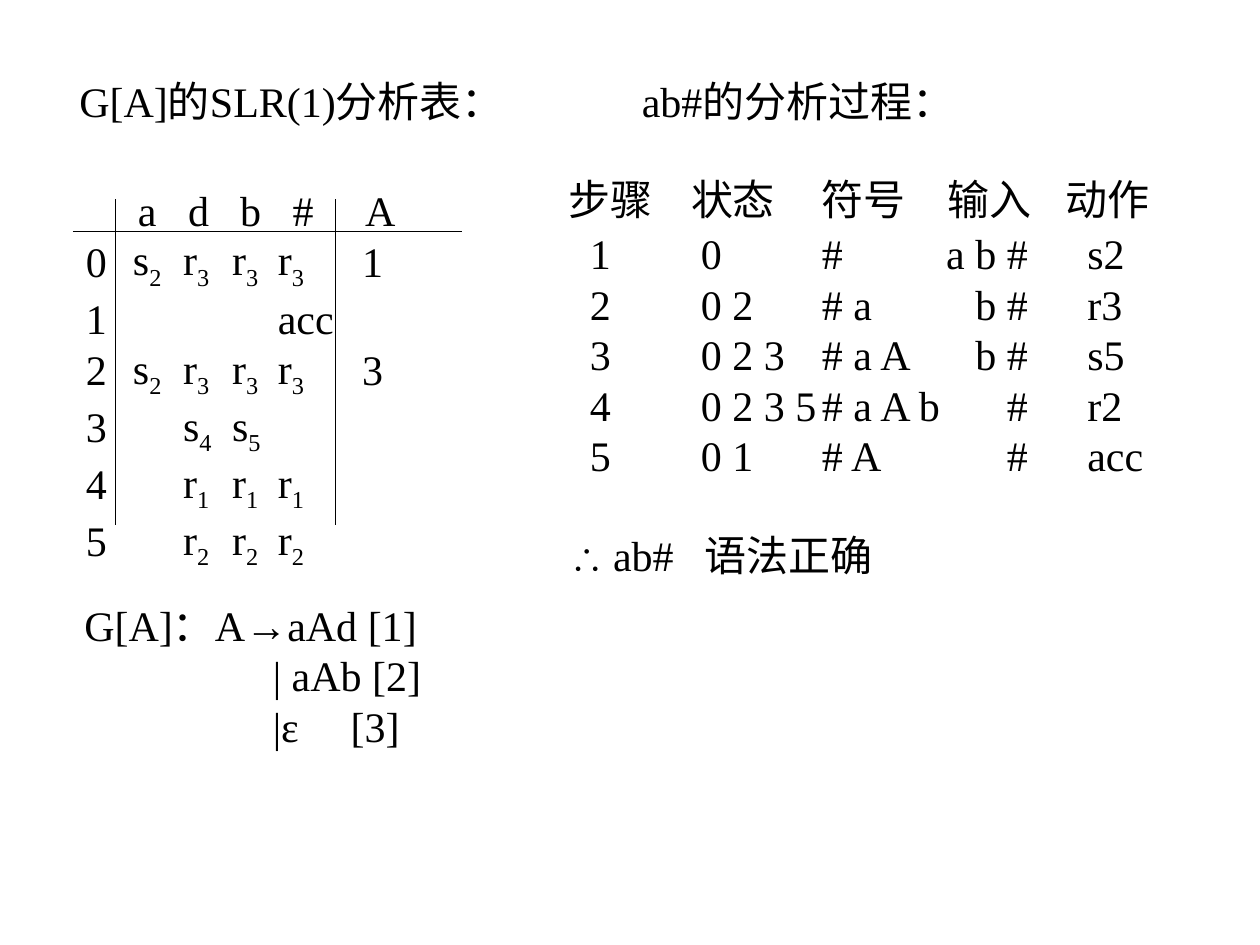
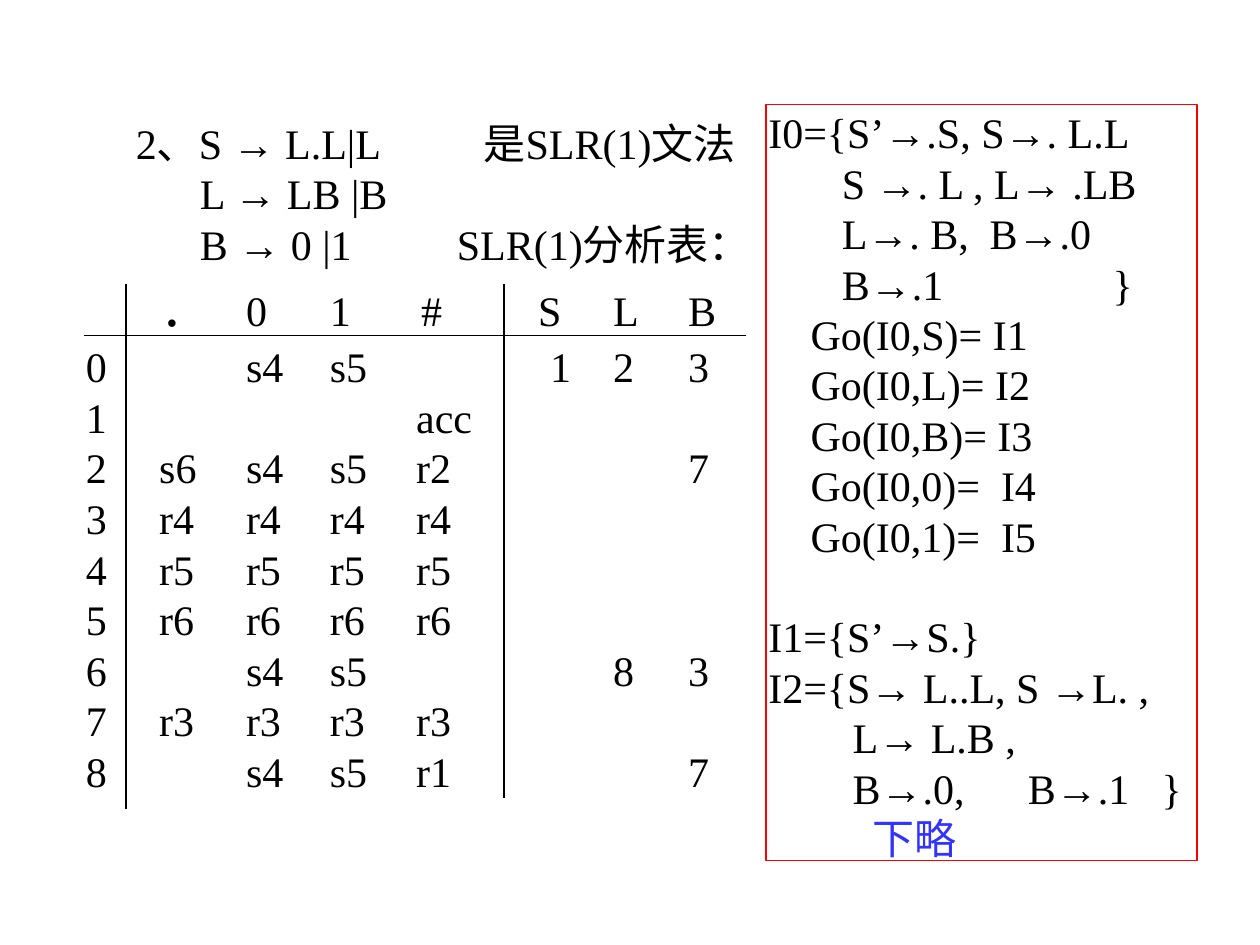
import dataclasses

import lxml.etree
import pptx
import pptx.dml.color
import pptx.enum.shapes
import pptx.enum.text
import pptx.oxml.ns
import pptx.util

Cm = pptx.util.Cm
Pt = pptx.util.Pt
LEFT = pptx.enum.text.PP_ALIGN.LEFT
RIGHT = pptx.enum.text.PP_ALIGN.RIGHT


@dataclasses.dataclass(frozen=True)
class Theme:
    """Colours, type sizes and measures shared by the slides."""

    font: str = "Times New Roman"
    ink: str = "000000"
    frame: str = "FF0000"
    remark: str = "3333FF"
    body: float = 24
    symbol: float = 20
    dot: float = 36
    line_pitch: float = 28.8
    tall_pitch: float = 31.5
    line_width: float = 0.75
    row: float = 1.02
    subscript_row: float = 1.15
    no_grid_style: str = "{2D5ABB26-0587-4C30-8999-92F81FD0307C}"


THEME = Theme()


@dataclasses.dataclass(frozen=True)
class Box:
    """A region in centimetres."""

    left: float
    top: float
    width: float
    height: float


@dataclasses.dataclass(frozen=True)
class Line:
    """A line of text with its tab stops in centimetres."""

    text: str
    stops: tuple = ()
    color: str = THEME.ink
    space_before: float = 0


@dataclasses.dataclass(frozen=True)
class Column:
    """A table column; indents apply on the aligned side."""

    width: float
    header_indent: float = 0
    body_indent: float = 0
    align: int = LEFT
    header_size: float = THEME.body


def rgb(color):
    """Turn a hex string into a colour."""
    return pptx.dml.color.RGBColor.from_string(color)


def add_run(paragraph, text, size=THEME.body, color=THEME.ink, subscript=False):
    """Append one formatted run."""
    run = paragraph.add_run()
    run.text = text
    run.font.name = THEME.font
    run.font.size = Pt(size)
    run.font.color.rgb = rgb(color)
    if subscript:
        run.font._element.set("baseline", "-25000")


def write(paragraph, text, size=THEME.body, color=THEME.ink, align=LEFT,
          stops=(), space_before=0):
    """Fill a paragraph; an underscore starts a subscript."""
    is_tall = "_" in text or size > THEME.body
    paragraph.alignment = align
    paragraph.line_spacing = Pt(
        THEME.tall_pitch if is_tall else THEME.line_pitch)
    paragraph.space_before = Pt(space_before)
    if stops:
        qn = pptx.oxml.ns.qn
        tab_list = lxml.etree.SubElement(
            paragraph._p.get_or_add_pPr(), qn("a:tabLst"))
        for stop in stops:
            lxml.etree.SubElement(
                tab_list, qn("a:tab"), pos=str(Cm(stop)), algn="l")
    for index, part in enumerate(text.split("_")):
        if part:
            add_run(paragraph, part, size, color, subscript=index > 0)


def add_text(slide, box, lines):
    """Place a text box holding one paragraph per line."""
    shape = slide.shapes.add_textbox(
        Cm(box.left), Cm(box.top), Cm(box.width), Cm(box.height))
    frame = shape.text_frame
    frame.word_wrap = True
    for index, line in enumerate(lines):
        paragraph = frame.add_paragraph() if index else frame.paragraphs[0]
        write(paragraph, line.text, stops=line.stops, color=line.color,
              space_before=line.space_before)
    return frame


def add_rule(slide, box, start, end):
    """Draw a thin line between two points given from the corner of a box."""
    connector = slide.shapes.add_connector(
        pptx.enum.shapes.MSO_CONNECTOR.STRAIGHT,
        Cm(box.left + start[0]), Cm(box.top + start[1]),
        Cm(box.left + end[0]), Cm(box.top + end[1]))
    connector.line.color.rgb = rgb(THEME.ink)
    connector.line.width = Pt(THEME.line_width)
    lxml.etree.SubElement(
        connector._element.spPr, pptx.oxml.ns.qn("a:effectLst"))


def add_grid(slide, left, top, columns, rows, heights, rules=()):
    """Place a table without borders, then the rules over it."""
    box = Box(left, top, sum(column.width for column in columns), sum(heights))
    table = slide.shapes.add_table(
        len(rows), len(columns), Cm(box.left), Cm(box.top),
        Cm(box.width), Cm(box.height)).table
    table.first_row = table.horz_banding = False
    style = table._tbl.tblPr.find(pptx.oxml.ns.qn("a:tableStyleId"))
    style.text = THEME.no_grid_style
    for index, column in enumerate(columns):
        table.columns[index].width = Cm(column.width)
    for row_index, (texts, height) in enumerate(zip(rows, heights)):
        table.rows[row_index].height = Cm(height)
        for column_index, (text, column) in enumerate(zip(texts, columns)):
            fill_cell(table.cell(row_index, column_index), text, column,
                      is_header=row_index == 0)
    for start, end in rules:
        add_rule(slide, box, start, end)


def fill_cell(cell, text, column, is_header):
    """Write one table cell in the manner of its column."""
    cell.fill.background()
    cell.margin_left = cell.margin_right = 0
    cell.margin_top = cell.margin_bottom = 0
    indent = Cm(column.header_indent if is_header else column.body_indent)
    if column.align == RIGHT:
        cell.margin_right = indent
    else:
        cell.margin_left = indent
    paragraph = cell.text_frame.paragraphs[0]
    size = column.header_size if is_header else THEME.body
    write(paragraph, text, size=size, align=column.align)
    if not text:
        paragraph.font.size = Pt(size)


def add_small_parse_table(slide, left, top):
    """Build the SLR(1) table of grammar G[A]."""
    columns = [Column(0.95), Column(1.01, 0.1), Column(0.99, 0.1),
               Column(0.92, 0.16), Column(1.7, 0.3), Column(1.6, 0.06)]
    rows = [
        ("", "a", "d", "b", "#", "A"),
        ("0", "s_2", "r_3", "r_3", "r_3", "1"),
        ("1", "", "", "", "acc", ""),
        ("2", "s_2", "r_3", "r_3", "r_3", "3"),
        ("3", "", "s_4", "s_5", "", ""),
        ("4", "", "r_1", "r_1", "r_1", ""),
        ("5", "", "r_2", "r_2", "r_2", ""),
    ]
    heights = [THEME.subscript_row if any("_" in text for text in row)
               else THEME.row for row in rows]
    rules = [((-0.26, 0.93), (7.59, 0.93))]
    rules += [((x, 0.29), (x, 6.85)) for x in (0.6, 5.04)]
    add_grid(slide, left, top, columns, rows, heights, rules)


def add_analysis_steps(slide, left, top):
    """Build the step by step analysis of the sentence."""
    columns = [Column(2.46, body_indent=0.42), Column(2.64, body_indent=0.2),
               Column(2.42), Column(2.48, 0.68, 0.75, RIGHT),
               Column(2.13, body_indent=0.45)]
    rows = [
        ("步骤", "状态", "符号", "输入", "动作"),
        ("1", "0", "#", "a b #", "s2"),
        ("2", "0 2", "# a", "b #", "r3"),
        ("3", "0 2 3", "# a A", "b #", "s5"),
        ("4", "0 2 3 5", "# a A b", "#", "r2"),
        ("5", "0 1", "# A", "#", "acc"),
    ]
    add_grid(slide, left, top, columns, rows, [THEME.row] * len(rows))


def add_large_parse_table(slide, left, top):
    """Build the SLR(1) table of the binary number grammar."""
    columns = [Column(1.48), Column(1.75, 0.1, header_size=THEME.dot),
               Column(1.69), Column(1.74), Column(2.46, 0.1),
               Column(1.51, body_indent=0.24), Column(1.51), Column(1.15)]
    rows = [("", ".", "0", "1", "#", "S", "L", "B")]
    actions = [
        ("", "s4", "s5", "", "1", "2", "3"),
        ("", "", "", "acc", "", "", ""),
        ("s6", "s4", "s5", "r2", "", "", "7"),
        ("r4",) * 4 + ("",) * 3,
        ("r5",) * 4 + ("",) * 3,
        ("r6",) * 4 + ("",) * 3,
        ("", "s4", "s5", "", "", "8", "3"),
        ("r3",) * 4 + ("",) * 3,
        ("", "s4", "s5", "r1", "", "", "7"),
    ]
    rows += [(str(state), *action) for state, action in enumerate(actions)]
    heights = [1.13] + [THEME.row] * len(actions)
    rules = [((-0.04, 1.02), (13.3, 1.02)),
             ((0.81, -0.03), (0.81, 10.55)),
             ((8.43, -0.03), (8.43, 10.33))]
    add_grid(slide, left, top, columns, rows, heights, rules)


def add_item_sets(slide, box):
    """Build the list of item sets inside its frame."""
    item, go = (1.48,), (0.85, 4.69)
    lines = [
        Line("I0={S’→.S, S→. L.L"),
        Line("\tS →. L , L→ .LB", item),
        Line("\tL→. B,\tB→.0", item + (4.46,)),
        Line("\tB→.1\t}", item + (6.94,)),
    ]
    lines += [Line(f"\tGo(I0,{symbol})= I{number}", go)
              for number, symbol in enumerate("SLB", 1)]
    lines += [Line(f"\tGo(I0,{symbol})=\tI{number}", go)
              for number, symbol in enumerate("01", 4)]
    lines += [
        Line("I1={S’→S.}", space_before=THEME.line_pitch),
        Line("I2={S→ L..L, S →L. ,"),
        Line("\tL→ L.B ,", (1.7,)),
        Line("\tB→.0,\tB→.1\t}", (1.7, 5.23, 7.93)),
        Line("\t下略", (2.1,), THEME.remark),
    ]
    add_text(slide, box, lines)
    frame = slide.shapes.add_shape(
        pptx.enum.shapes.MSO_SHAPE.RECTANGLE, Cm(box.left + 0.2),
        Cm(box.top + 0.08), Cm(8.69), Cm(box.height - 0.25))
    frame.shadow.inherit = False
    frame.fill.background()
    frame.line.color.rgb = rgb(THEME.frame)
    frame.line.width = Pt(THEME.line_width)


def build_sentence_slide(slide):
    """Build the slide that analyses the sentence ab#."""
    add_small_parse_table(slide, 1.73, 3.73)
    add_text(slide, Box(1.35, 1.4, 9.68, 1.27), [Line("G[A]的SLR(1)分析表：")])
    add_text(slide, Box(1.45, 11.96, 8.08, 3.3), [
        Line("G[A]：A→aAd [1]"),
        Line("\t| aAb [2]", (3.8,)),
        Line("\t|ε\t[3]", (3.8, 5.37)),
    ])
    add_text(slide, Box(12.69, 1.4, 9, 1.27), [Line("ab#的分析过程：")])
    add_analysis_steps(slide, 11.47, 3.58)
    conclusion = add_text(
        slide, Box(11.23, 10.54, 9, 1.27), [Line("", (2.73,))])
    add_run(conclusion.paragraphs[0], "∴ ", size=THEME.symbol)
    add_run(conclusion.paragraphs[0], "ab#\t语法正确")


def build_grammar_slide(slide):
    """Build the slide on the binary number grammar."""
    add_text(slide, Box(2.49, 2.24, 17.2, 3.3), [
        Line("2、S → L.L|L\t是SLR(1)文法", (7.01,)),
        Line("\tL → LB |B", (1.29,)),
        Line("\tB → 0 |1\tSLR(1)分析表：", (1.29, 6.47)),
    ])
    add_large_parse_table(slide, 1.73, 5.75)
    add_item_sets(slide, Box(15.24, 2.03, 9.53, 15.49))


def main():
    """Build and save the presentation."""
    presentation = pptx.Presentation()
    presentation.slide_width = Cm(25.4)
    presentation.slide_height = Cm(19.05)
    blank = presentation.slide_layouts[6]
    for build in (build_sentence_slide, build_grammar_slide):
        build(presentation.slides.add_slide(blank))
    presentation.save("out.pptx")


if __name__ == "__main__":
    main()
